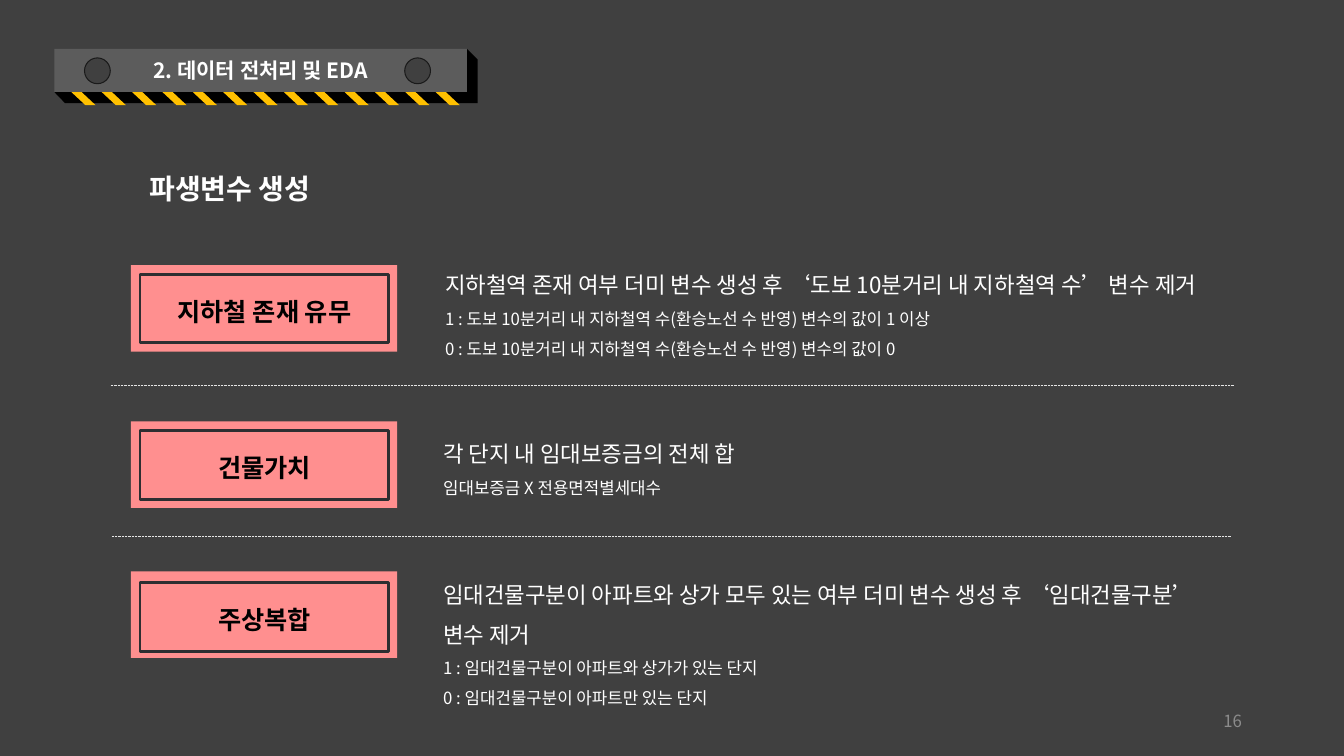
from lxml import etree
from pptx import Presentation
from pptx.dml.color import RGBColor as Rgb
from pptx.enum.dml import MSO_LINE as Dash
from pptx.enum.shapes import MSO_CONNECTOR as Conn, MSO_SHAPE as Kind
from pptx.enum.text import MSO_ANCHOR as Anchor, MSO_AUTO_SIZE as Fit, PP_ALIGN as Align
from pptx.oxml.ns import qn
from pptx.util import Cm, Pt

HEX = {
    "back": "404040", "face": "5C5C5C", "side": "000000", "hole": "404040",
    "rim": "1A1A1A", "tape": "FFC000", "tag": "FF8F8F", "frame": "2E2E31",
    "rule": "E6E6E6", "light": "FFFFFF", "dark": "000000", "page": "8C8C8C",
}
FONT = "Noto Sans CJK KR"

# tag top, inner frame offset, tag label, text left, top, width, height, lines
ROWS = [
    (6.68, 0.23, "지하철 존재 유무", 10.97, 6.38, 20.07, 2.77, [
        "지하철역 존재 여부 더미 변수 생성 후 ‘도보 10분거리 내 지하철역 수’ 변수 제거",
        "1 : 도보 10분거리 내 지하철역 수(환승노선 수 반영) 변수의 값이 1 이상",
        "0 : 도보 10분거리 내 지하철역 수(환승노선 수 반영) 변수의 값이 0"]),
    (10.62, 0.23, "건물가치", 10.92, 10.64, 18.87, 1.98, [
        "각 단지 내 임대보증금의 전체 합",
        "임대보증금 X 전용면적별세대수"]),
    (14.4, 0.28, "주상복합", 10.92, 14.17, 20.57, 2.77, [
        "임대건물구분이 아파트와 상가 모두 있는 여부 더미 변수 생성 후 ‘임대건물구분’ 변수 제거",
        "1 : 임대건물구분이 아파트와 상가가 있는 단지",
        "0 : 임대건물구분이 아파트만 있는 단지"]),
]
RULES = [(2.79, 31.09, 9.72), (2.82, 31.01, 13.52)]


def rgb(name):
    return Rgb.from_string(HEX[name])


class Board:
    """Holds the slide and the shared text and shape style."""

    def __init__(self, slide):
        self.slide = slide
        self.shapes = slide.shapes
        slide.background.fill.solid()
        slide.background.fill.fore_color.rgb = rgb("back")

    def place(self, item, x, y, w, h):
        item.left, item.top, item.width, item.height = Cm(x), Cm(y), Cm(w), Cm(h)

    def paint(self, item, fill, line=None, width=2):
        item.fill.solid()
        item.fill.fore_color.rgb = rgb(fill)
        if line:
            item.line.color.rgb = rgb(line)
            item.line.width = Pt(width)
        else:
            item.line.fill.background()

    def label(self, para, text, size, color="light", bold=False, align=Align.LEFT, space=1.0):
        para.text = text
        para.alignment = align
        para.line_spacing = space
        para.space_before = Pt(0)
        font = para.font
        font.name, font.size, font.bold = FONT, Pt(size), bold
        font.color.rgb = rgb(color)
        etree.SubElement(font._element, qn("a:ea")).set("typeface", FONT)

    def shape(self, kind, x, y, w, h, fill, line=None, width=2):
        item = self.shapes.add_shape(kind, Cm(x), Cm(y), Cm(w), Cm(h))
        item.shadow.inherit = False
        self.paint(item, fill, line, width)
        return item

    def outline(self, points, fill):
        pairs = [(Cm(x), Cm(y)) for x, y in points]
        form = self.shapes.build_freeform(*pairs[0])
        form.add_line_segments(pairs[1:])
        item = form.convert_to_shape()
        item.shadow.inherit = False
        self.paint(item, fill)

    def banner(self, text):
        title = self.shapes.title
        self.place(title, 1.37, 1.23, 10.4, 1.09)
        self.paint(title, "face")
        frame = title.text_frame
        frame.vertical_anchor, frame.auto_size = Anchor.MIDDLE, Fit.NONE
        self.label(frame.paragraphs[0], text, 15, bold=True, align=Align.CENTER)
        self.outline([(1.37, 2.32), (11.77, 2.32), (11.77, 1.23),
                      (12.04, 1.5), (12.04, 2.6), (1.64, 2.6)], "side")
        for x in (2.13, 10.2):
            self.shape(Kind.OVAL, x, 1.46, 0.65, 0.65, "hole", "rim", 0.75)
        for i in range(13):
            tape = self.shape(Kind.PARALLELOGRAM, 1.8 + 0.765 * i, 2.32, 0.61, 0.33, "tape")
            tape.adjustments[0] = 1.07
            tape._element.spPr.find(qn("a:xfrm")).set("flipH", "1")

    def heading(self, text):
        body = self.slide.placeholders[1]
        self.place(body, 2.34, 3.76, 29.21, 13.39)
        body.text_frame.auto_size = Fit.NONE
        para = body.text_frame.paragraphs[0]
        props = para._p.get_or_add_pPr()
        props.set("marL", str(Cm(1.17)))
        props.set("indent", "0")
        etree.SubElement(props, qn("a:buNone"))
        self.label(para, text, 20, bold=True, space=1.5)

    def tag(self, y, gap, text):
        self.shape(Kind.RECTANGLE, 3.3, y, 6.71, 2.18, "tag")
        inner = self.shape(Kind.RECTANGLE, 3.53, y + gap, 6.27, 1.73, "tag", "frame")
        inner.text_frame.vertical_anchor = Anchor.MIDDLE
        self.label(inner.text_frame.paragraphs[0], text, 18, "dark", True, Align.CENTER, 1.2)

    def box(self, x, y, w, h):
        frame = self.shapes.add_textbox(Cm(x), Cm(y), Cm(w), Cm(h)).text_frame
        frame.word_wrap = True
        return frame

    def note(self, x, y, w, h, lines):
        frame = self.box(x, y, w, h)
        frame.auto_size = Fit.SHAPE_TO_FIT_TEXT
        for i, line in enumerate(lines):
            para = frame.add_paragraph() if i else frame.paragraphs[0]
            self.label(para, line, 12 if i else 16, space=1.5)

    def rule(self, left, right, y):
        line = self.shapes.add_connector(Conn.STRAIGHT, Cm(left), Cm(y), Cm(right), Cm(y))
        line.line.color.rgb = rgb("rule")
        line.line.width = Pt(0.5)
        line.line.dash_style = Dash.ROUND_DOT
        etree.SubElement(line._element.spPr, qn("a:effectLst"))

    def number(self, text):
        frame = self.box(23.93, 17.65, 7.62, 1.02)
        frame.vertical_anchor = Anchor.MIDDLE
        self.label(frame.paragraphs[0], text, 12, "page", align=Align.RIGHT)


def main():
    deck = Presentation()
    deck.slide_width, deck.slide_height = Cm(33.87), Cm(19.05)
    board = Board(deck.slides.add_slide(deck.slide_layouts[1]))
    board.banner("2. 데이터 전처리 및 EDA")
    board.heading("파생변수 생성")
    for top, gap, label, *area, lines in ROWS:
        board.tag(top, gap, label)
        board.note(*area, lines)
    for ends in RULES:
        board.rule(*ends)
    board.number("16")
    deck.save("out.pptx")


if __name__ == "__main__":
    main()
